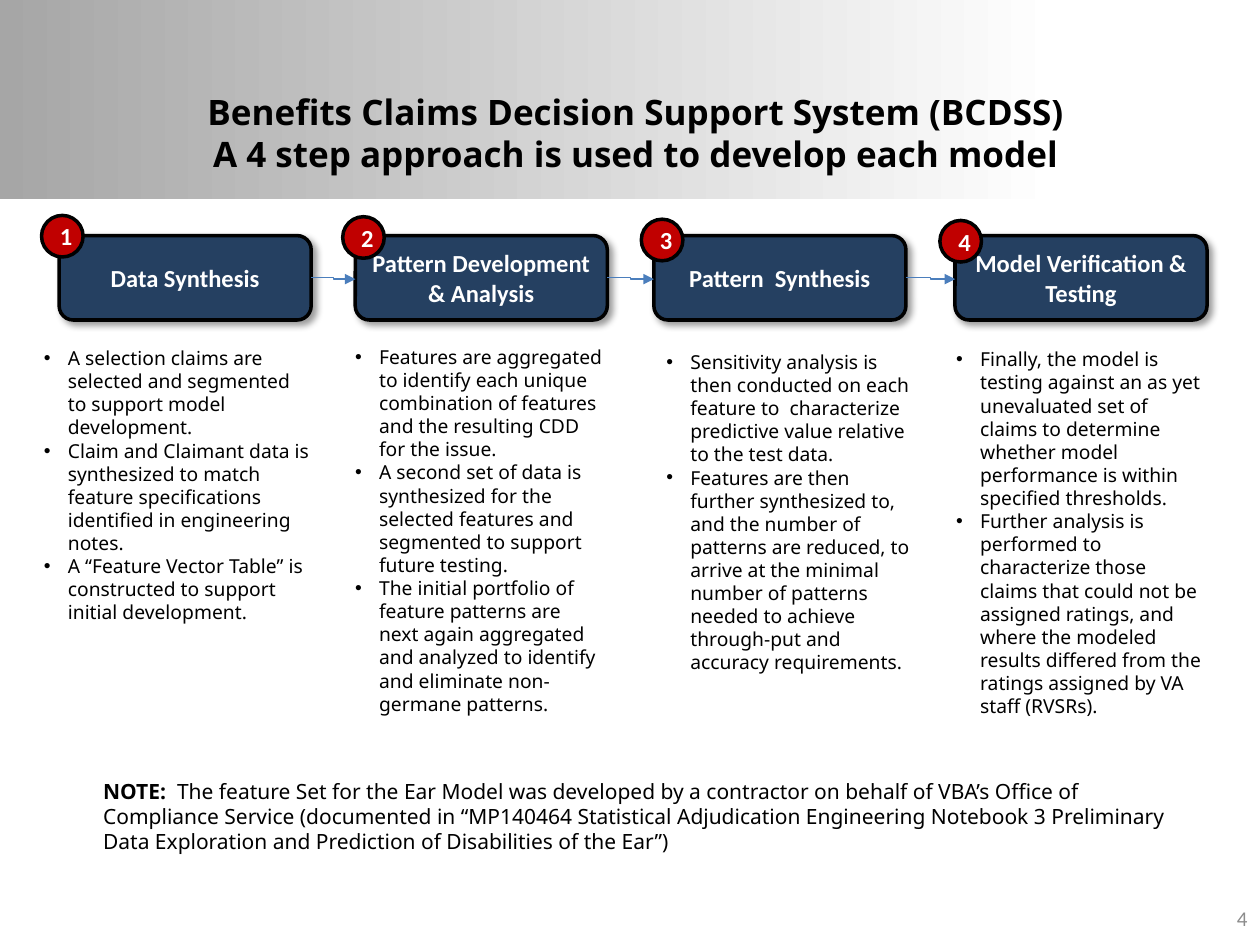
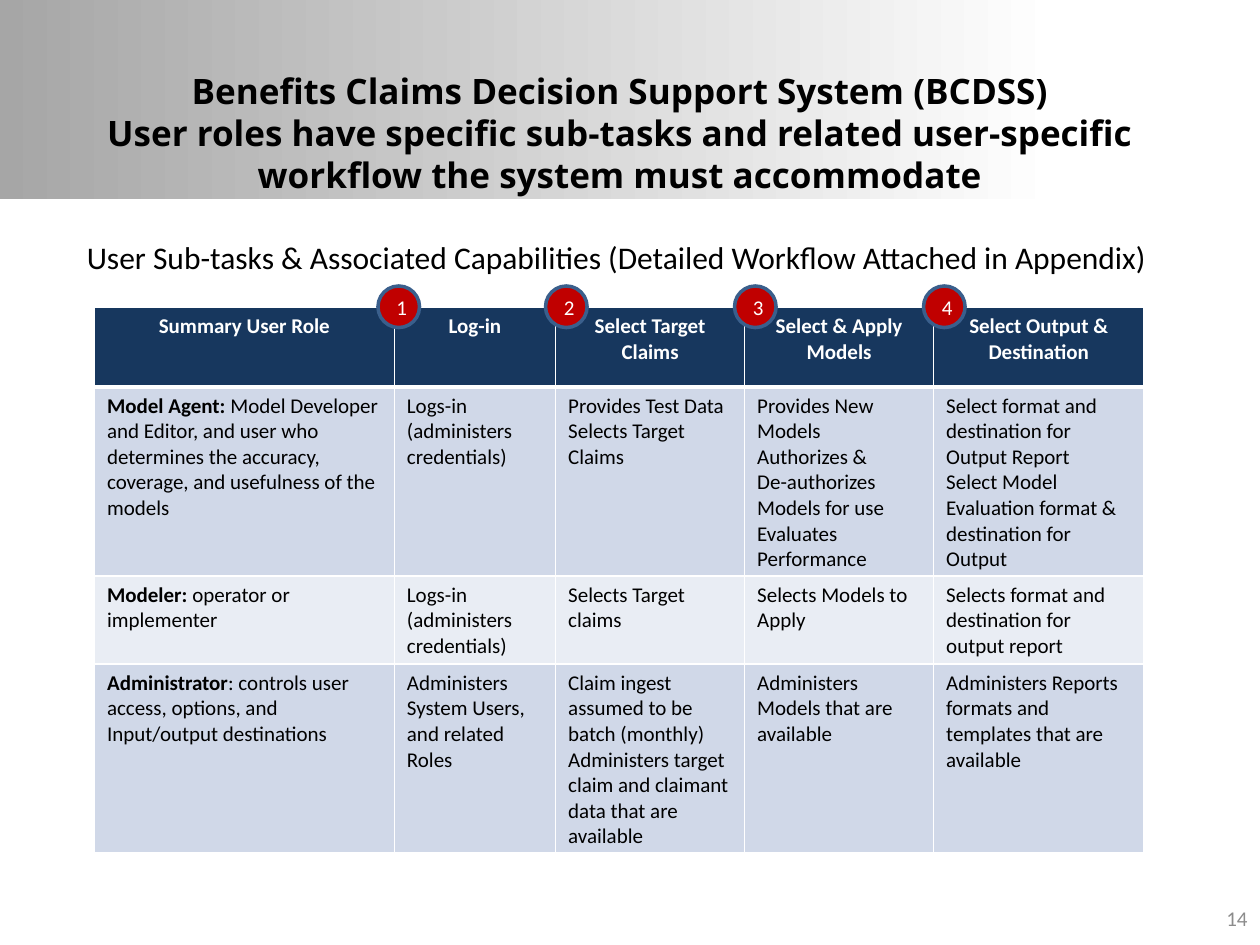
from collections import namedtuple
from dataclasses import dataclass

from lxml.etree import SubElement
from pptx import Presentation
from pptx.dml.color import RGBColor
from pptx.enum.shapes import MSO_CONNECTOR, MSO_SHAPE as SHAPE
from pptx.enum.text import MSO_ANCHOR as ANCHOR, MSO_AUTO_SIZE as AUTO, PP_ALIGN as ALIGN
from pptx.oxml.ns import qn
from pptx.util import Inches, Pt

Box = namedtuple("Box", "x y w h")
Step = namedtuple("Step", "name left badge notes bullets")


@dataclass(frozen=True)
class Theme:
    heading: str = "Noto Sans"
    body: str = "Calibri"
    black: str = "000000"
    white: str = "FFFFFF"
    band: str = "A6A6A6"
    number: str = "8C8C8C"
    step: str = "254061"
    badge: str = "C00000"
    badge_rim: str = "3A5F8C"
    arrow: str = "4B7EBC"
    header: str = "17375E"
    row_odd: str = "D0D8E8"
    row_even: str = "E9EDF4"
    title_size: int = 20
    subtitle_size: int = 18
    label_size: int = 14
    text_size: int = 12
    bullet_size: int = 11


T = Theme()
SYSTEM = "Benefits Claims Decision Support System (BCDSS)"

STEPS = [
    Step("Data Synthesis", 0.47, (0.33, 1.71), Box(0.25, 2.7, 2.31, 2.32), [
        "A selection claims are selected and segmented to support model development.",
        "Claim and Claimant data is synthesized to match feature specifications "
        "identified in engineering notes.",
        "A “Feature Vector Table” is constructed to support initial development."]),
    Step("Pattern Development & Analysis", 2.82, (2.72, 1.72), Box(2.72, 2.69, 2.18, 3.25), [
        "Features are aggregated to identify each unique combination of features "
        "and the resulting CDD for the issue.",
        "A second set of data is synthesized for the selected features and "
        "segmented to support future testing.",
        "The initial portfolio of feature patterns are next again aggregated and "
        "analyzed to identify and eliminate non-germane patterns."]),
    Step("Pattern  Synthesis", 5.19, (5.09, 1.74), Box(5.19, 2.73, 2.18, 2.69), [
        "Sensitivity analysis is then conducted on each feature to  characterize "
        "predictive value relative to the test data.",
        "Features are then further synthesized to, and the number of patterns are "
        "reduced, to arrive at the minimal number of patterns needed to achieve "
        "through-put and accuracy requirements."]),
    Step("Model Verification & Testing", 7.58, (7.46, 1.75), Box(7.49, 2.71, 2.18, 3.06), [
        "Finally, the model is testing against an as yet unevaluated set of claims "
        "to determine whether model performance is within specified thresholds.",
        "Further analysis is performed to characterize those claims that could not "
        "be assigned ratings, and where the modeled results differed from the "
        "ratings assigned by VA staff (RVSRs)."]),
]

NOTE = ("NOTE:  ",
        "The feature Set for the Ear Model was developed by a contractor on behalf of "
        "VBA’s Office of Compliance Service (documented in “MP140464 Statistical "
        "Adjudication Engineering Notebook 3 Preliminary Data Exploration and "
        "Prediction of Disabilities of the Ear”)")

# Each cell is a list of paragraphs; a pair is a bold lead and its plain rest
ROLE_HEADER = ["Summary User Role", "Log-in", "Select Target Claims",
               "Select & Apply Models", "Select Output & Destination"]
ROLE_ROWS = [
    [[("Model Agent: ", "Model Developer and Editor, and user who determines the "
       "accuracy, coverage, and usefulness of the models")],
     ["Logs-in (administers credentials)"],
     ["Provides Test Data", "Selects Target Claims"],
     ["Provides New Models", "Authorizes &", "De-authorizes Models for use",
      "Evaluates Performance"],
     ["Select format and destination for Output Report",
      "Select Model Evaluation format & destination for Output"]],
    [[("Modeler: ", "operator or implementer")],
     ["Logs-in (administers credentials)"],
     ["Selects Target claims"],
     ["Selects Models to Apply"],
     ["Selects format and destination for output report"]],
    [[("Administrator", ": controls user access, options, and Input/output destinations")],
     ["Administers System Users, and related Roles"],
     ["Claim ingest assumed to be batch (monthly)",
      "Administers target claim and claimant data that are available"],
     ["Administers Models that are available"],
     ["Administers Reports formats and templates that are available"]],
]
ROLE_COLS = [2.38, 1.28, 1.5, 1.5, 1.67]
ROLE_HEIGHTS = [0.63, 1.04, 0.54, 0.75]


def rgb(value):
    return RGBColor.from_string(value)


def emu(box):
    return [Inches(v) for v in box]


def add_bullet(p):
    pPr = p._p.get_or_add_pPr()
    pPr.set("marL", str(Inches(0.19)))
    pPr.set("indent", str(-Inches(0.19)))
    SubElement(pPr, qn("a:buFont"), typeface="Arial")
    SubElement(pPr, qn("a:buChar"), char="•")


def write(tf, paragraphs, size, color=T.black, font=T.body, bold=False,
          align=ALIGN.LEFT, bullets=False):
    """Fill a text frame; a pair is a bold lead followed by plain text."""
    for i, item in enumerate(paragraphs):
        p = tf.add_paragraph() if i else tf.paragraphs[0]
        if bullets:
            add_bullet(p)
        p.alignment = align
        runs = [(item, bold)] if isinstance(item, str) else zip(item, (True, False))
        for text, strong in runs:
            for n, line in enumerate(text.split("\n")):
                if n:
                    p.add_line_break()
                r = p.add_run()
                r.text = line
                r.font.color.rgb = rgb(color)
                for key, value in dict(name=font, size=Pt(size), bold=strong).items():
                    setattr(r.font, key, value)


def add_text(slide, box, paragraphs, size, anchor=ANCHOR.TOP, wrap=True,
             fit=AUTO.SHAPE_TO_FIT_TEXT, **style):
    tf = slide.shapes.add_textbox(*emu(box)).text_frame
    for key, value in dict(word_wrap=wrap, auto_size=fit, vertical_anchor=anchor).items():
        setattr(tf, key, value)
    write(tf, paragraphs, size, **style)


def add_label(slide, kind, box, text, fill, rim, size, bold=True):
    """Filled, outlined shape with centred white text."""
    sp = slide.shapes.add_shape(kind, *emu(box))
    sp.shadow.inherit = False
    sp.fill.solid()
    sp.fill.fore_color.rgb = rgb(fill)
    sp.line.color.rgb = rgb(rim)
    sp.line.width = Pt(2)
    sp.text_frame.vertical_anchor = ANCHOR.MIDDLE
    write(sp.text_frame, [text], size, T.white, bold=bold, align=ALIGN.CENTER)
    return sp


def add_badge(slide, x, y, number, rim, size, bold):
    add_label(slide, SHAPE.OVAL, Box(x, y, 0.33, 0.33), str(number), T.badge, rim, size, bold)


def add_shadow(sp):
    effects = sp._element.spPr.find(qn("a:effectLst"))
    shadow = SubElement(effects, qn("a:outerShdw"), blurRad=str(Pt(4)), dist=str(Pt(3)),
                        dir="2700000", algn="tl", rotWithShape="0")
    color = SubElement(shadow, qn("a:srgbClr"), val=T.black)
    SubElement(color, qn("a:alpha"), val="40000")


def add_arrow(slide, x1, y1, x2, y2):
    line = slide.shapes.add_connector(MSO_CONNECTOR.ELBOW, *emu((x1, y1, x2, y2)))
    line.line.color.rgb = rgb(T.arrow)
    line.line.width = Pt(0.75)
    SubElement(line.line._get_or_add_ln(), qn("a:tailEnd"), type="triangle")
    SubElement(line._element.spPr, qn("a:effectLst"))


def set_borders(cell, **widths):
    tcPr = cell._tc.get_or_add_tcPr()
    for side in "LRTB":
        ln = SubElement(tcPr, qn(f"a:ln{side}"), w=str(Pt(widths.get(side, 1))))
        SubElement(SubElement(ln, qn("a:solidFill")), qn("a:srgbClr"), val=T.white)


def add_frame(prs, title, title_box, number):
    """New slide with the grey band, title and slide number."""
    slide = prs.slides.add_slide(prs.slide_layouts[6])
    band = slide.shapes.add_shape(SHAPE.RECTANGLE, *emu((0, 0, 10, 1.58)))
    band.shadow.inherit = False
    band.line.fill.background()
    band.fill.gradient()
    band.fill.gradient_angle = 0
    for stop, (at, color) in zip(band.fill.gradient_stops, [(0, T.band), (0.84, T.white)]):
        stop.position = at
        stop.color.rgb = rgb(color)
    add_text(slide, title_box, [f"{SYSTEM}\n{title}"], T.title_size, ANCHOR.MIDDLE,
             fit=AUTO.NONE, font=T.heading, bold=True, align=ALIGN.CENTER)
    add_text(slide, Box(7.67, 7.09, 2.33, 0.4), [str(number)], T.text_size, ANCHOR.MIDDLE,
             fit=AUTO.NONE, color=T.number, align=ALIGN.RIGHT)
    return slide


def add_steps(slide, row):
    """Step boxes joined by arrows, with numbered badges and notes below."""
    for step in STEPS:
        box = Box(step.left, row.y, row.w, row.h)
        add_shadow(add_label(slide, SHAPE.ROUNDED_RECTANGLE, box, step.name,
                             T.step, T.black, T.label_size))
    middle = row.y + row.h / 2
    for a, b in zip(STEPS, STEPS[1:]):
        add_arrow(slide, a.left + row.w, middle, b.left, middle + 0.01)
    for number, step in enumerate(STEPS, 1):
        add_badge(slide, *step.badge, number, T.black, T.label_size, True)
        add_text(slide, step.notes, step.bullets, T.bullet_size,
                 font=T.heading, bullets=True)


def add_roles(slide, box):
    """Table of user roles, with a numbered badge on each task column."""
    rows = [[[name] for name in ROLE_HEADER], *ROLE_ROWS]
    table = slide.shapes.add_table(len(rows), len(ROLE_COLS), *emu(box)).table
    for col, width in zip(table.columns, ROLE_COLS):
        col.width = Inches(width)
    for i, (row, height) in enumerate(zip(rows, ROLE_HEIGHTS)):
        table.rows[i].height = Inches(height)
        head = i == 0
        fill = T.header if head else (T.row_odd if i % 2 else T.row_even)
        for j, paragraphs in enumerate(row):
            cell = table.cell(i, j)
            set_borders(cell, B=3 if head else 1, T=3 if i == 1 else 1)
            cell.fill.solid()
            cell.fill.fore_color.rgb = rgb(fill)
            write(cell.text_frame, paragraphs, T.text_size, T.white if head else T.black,
                  bold=head, align=ALIGN.CENTER if head else ALIGN.LEFT)
    for number, dx in enumerate([2.25, 3.58, 5.08, 6.58], 1):
        add_badge(slide, box.x + dx, box.y - 0.17, number, T.badge_rim, T.text_size, False)


def build_steps_slide(prs):
    slide = add_frame(prs, "A 4 step approach is used to develop each model",
                      Box(0.42, 0.43, 9.25, 1.25), 4)
    add_steps(slide, Box(0.47, 1.87, 2, 0.67))
    add_text(slide, Box(0.72, 6.13, 8.75, 0.71), [NOTE], T.text_size, font=T.heading)


def build_roles_slide(prs):
    slide = add_frame(prs, "User roles have specific sub-tasks and related user-specific "
                      "workflow the system must accommodate", Box(0.17, 0.43, 9.5, 1.25), 14)
    add_roles(slide, Box(0.75, 2.44, 8.33, 4.33))
    add_text(slide, Box(0.59, 1.84, 8.65, 0.4),
             ["User Sub-tasks & Associated Capabilities (Detailed Workflow Attached in Appendix)"],
             T.subtitle_size, wrap=False)


def main():
    prs = Presentation()
    prs.slide_width, prs.slide_height = Inches(10), Inches(7.5)
    build_steps_slide(prs)
    build_roles_slide(prs)
    prs.save("out.pptx")


if __name__ == "__main__":
    main()
